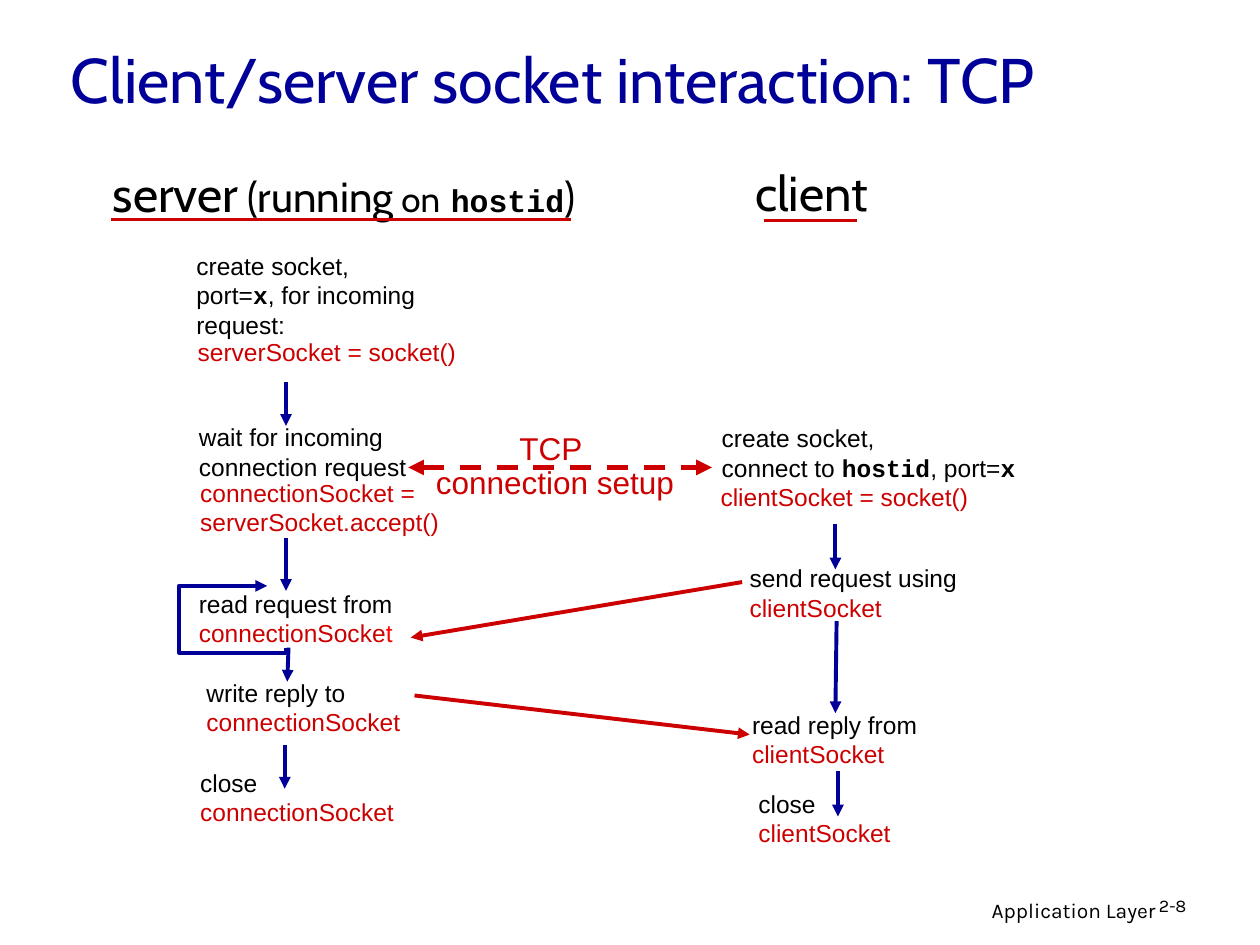
from collections import namedtuple

from lxml.etree import SubElement
from pptx import Presentation
from pptx.dml.color import RGBColor
from pptx.enum.dml import MSO_LINE
from pptx.enum.shapes import MSO_CONNECTOR as Connector
from pptx.enum.text import MSO_ANCHOR as Anchor, MSO_AUTO_SIZE as AutoSize, PP_ALIGN as Align
from pptx.oxml.ns import qn
from pptx.util import Inches, Pt

COLORS = {"navy": "000099", "red": "CC0000", "bright": "FF0000", "black": "000000"}

Box = namedtuple("Box", "left top width height")
Style = namedtuple("Style", "font size color bold", defaults=("black", False))

PLAIN = Style("Arial", 14)
CODE = Style("Courier New", 14, bold=True)
CALL = Style("Arial", 14, "red")
NOTE = Style("Arial", 18, "red")
HEADING = Style("Cabin", 28)
TITLE = Style("Cabin", 36, "navy")
FOOTER = Style("Karla", 12)
PAGE_NUMBER = Style("Karla", 10.2)


def color(name):
    """Return the named colour."""
    return RGBColor.from_string(COLORS[name])


def inside(box, left, top, width, height):
    """Return a box given by its offset within another box."""
    return Box(box.left + left, box.top + top, width, height)


def write(frame, paragraphs, align=Align.LEFT, spacing=None, before=None):
    """Fill a text frame; each paragraph is a list of (text, style) runs."""
    for index, runs in enumerate(paragraphs):
        para = frame.paragraphs[0] if index == 0 else frame.add_paragraph()
        para.alignment = align
        if spacing is not None:
            para.line_spacing = spacing
        if before is not None:
            para.space_before = Pt(before)
        for text, style in runs:
            span = para.add_run()
            span.text = text
            span.font.name, span.font.size = style.font, Pt(style.size)
            span.font.bold = style.bold
            span.font.color.rgb = color(style.color)


def add_text(page, box, paragraphs, wrap=False, anchor=Anchor.MIDDLE, **layout):
    """Add a text box."""
    frame = page.shapes.add_textbox(*map(Inches, box)).text_frame
    frame.word_wrap = wrap
    frame.vertical_anchor = anchor
    write(frame, paragraphs, **layout)


def style_line(shape, name, width, heads=()):
    """Set the colour, width and arrowheads of a line without shadow."""
    shape.line.color.rgb = color(name)
    shape.line.width = Pt(width)
    for head in heads:
        SubElement(shape.line._get_or_add_ln(), qn(f"a:{head}"), type="triangle")


def add_line(page, box, start, end, name="navy", width=2.24, heads=("tailEnd",), dashed=False):
    """Add a straight line between two points within a box."""
    ends = [Inches(value) for value in (box.left + start[0], box.top + start[1],
                                        box.left + end[0], box.top + end[1])]
    line = page.shapes.add_connector(Connector.STRAIGHT, *ends)
    if dashed:
        line.line.dash_style = MSO_LINE.DASH
    style_line(line, name, width, heads)
    SubElement(line._element.spPr, qn("a:effectLst"))


def add_steps(page, box, steps):
    """Add two-line steps: a plain action above the socket it uses."""
    for left, top, width, action, socket in steps:
        add_text(page, inside(box, left, top, width, 0.57), [[(action, PLAIN)], socket])


def add_title(page, box):
    """Place the slide title."""
    title = page.shapes.title
    title.left, title.top, title.width, title.height = map(Inches, box)
    frame = title.text_frame
    frame.auto_size = AutoSize.NONE
    frame.vertical_anchor = Anchor.MIDDLE
    write(frame, [[("Client/server socket interaction: TCP", TITLE)]])


def add_headings(page, box):
    """Add the underlined headings of both columns."""
    server = [("server", HEADING), (" (running", HEADING._replace(size=24)),
              (" on", HEADING._replace(size=20)), (" ", Style("Comic Neue", 18)),
              ("hostid", CODE._replace(size=18)), (")", HEADING._replace(size=24))]
    add_text(page, inside(box, 0, 0.01, 4.28, 0.57), [server], align=Align.CENTER, before=15)
    add_text(page, inside(box, 5.26, 0, 1.18, 0.57), [[("client", HEADING)]],
             align=Align.CENTER, before=17.5)
    add_line(page, box, (0.29, 0.5), (3.94, 0.5), "red", 1.5, ())
    add_line(page, box, (5.47, 0.51), (6.21, 0.51), "red", 1.5, ())


def add_server(page, box):
    """Add the server's steps, the arrows between them and the read loop."""
    add_text(page, inside(box, 0.04, 0, 2.11, 0.8),
             [[("create socket,", PLAIN)],
              [("port=", PLAIN), ("x", CODE), (", for incoming request:", PLAIN)]], wrap=True)
    add_text(page, inside(box, 0.05, 0.68, 2.57, 0.34),
             [[("serverSocket = socket()", CALL)]], wrap=True, before=3.5)
    add_text(page, inside(box, 0.07, 1.8, 2.2, 0.57),
             [[("connectionSocket =", CALL)], [("serverSocket.accept()", CALL)]], wrap=True)
    connection = [("connectionSocket", CALL)]
    add_steps(page, box, [
        (0.06, 1.36, 1.85, "wait for incoming", [("connection request", PLAIN)]),
        (0.06, 2.68, 1.74, "read request from",
         [("connectionSocke", CALL), ("t", CALL._replace(color="bright"))]),
        (0.12, 3.39, 1.74, "write reply to", connection),
        (0.07, 4.1, 1.74, "close", connection),
    ])
    for start, end in (((0.85, 1.09), (0.85, 1.44)), ((0.85, 2.33), (0.85, 2.75)),
                       ((0.87, 3.2), (0.86, 3.47)), ((0.84, 3.97), (0.84, 4.32))):
        add_line(page, box, start, end)

    corners = [(Inches(box.left + x), Inches(box.top + y)) for x, y in
               ((0.85, 3.2), (0.85, 3.24), (0, 3.24), (0, 2.71), (0.7, 2.71))]
    builder = page.shapes.build_freeform(*corners[0])
    builder.add_line_segments(corners[1:], close=False)
    loop = builder.convert_to_shape()
    loop.shadow.inherit = False
    loop.fill.background()
    style_line(loop, "navy", 2.24, ("tailEnd",))


def add_client(page, box):
    """Add the client's steps and the arrows between them."""
    add_text(page, inside(box, 0.01, 0, 2.53, 0.57),
             [[("create socket,", PLAIN)],
              [("connect to ", PLAIN), ("hostid", CODE), (", port=", PLAIN), ("x", CODE)]])
    add_text(page, inside(box, 0, 0.46, 2.58, 0.34),
             [[("clientSocket = socket()", CALL)]], wrap=True)
    socket = [("clientSocket", CALL)]
    add_steps(page, box, [
        (0.23, 1.11, 1.85, "send request using", socket),
        (0.25, 2.27, 1.51, "read reply from", socket),
        (0.3, 2.9, 1.25, "close", socket),
    ])
    for start, end in (((1.01, 0.85), (1.01, 1.21)), ((1.02, 1.62), (1.01, 2.35)),
                       ((1.03, 2.81), (1.03, 3.17))):
        add_line(page, box, start, end)


def add_messages(page, box):
    """Add the connection setup, the request and the reply between columns."""
    add_line(page, box, (0, 0.32), (2.41, 0.32), "red", 3, ("headEnd", "tailEnd"), dashed=True)
    add_text(page, inside(box, 0.12, 0, 2.09, 0.64),
             [[("TCP ", NOTE)], [("connection setup", NOTE)]], align=Align.CENTER, spacing=0.9)
    add_line(page, box, (2.65, 1.23), (0.02, 1.67), "red")
    add_line(page, box, (0.05, 2.13), (2.71, 2.44), "red")


def add_footer(page, box):
    """Add the chapter name and the page number."""
    add_text(page, inside(box, 0, 0, 3.17, 0.31), [[("Application Layer", FOOTER)]],
             wrap=True, anchor=Anchor.TOP, align=Align.RIGHT)
    add_text(page, inside(box, 3, 0, 0.74, 0.3), [[("2-8", PAGE_NUMBER)]],
             wrap=True, anchor=Anchor.TOP, spacing=0.9)


def main():
    """Build the deck with its one slide."""
    deck = Presentation()
    deck.slide_width, deck.slide_height = Inches(10), Inches(7.5)
    page = deck.slides.add_slide(deck.slide_layouts[5])
    add_title(page, Box(0.46, 0.1, 8.5, 1.04))
    add_headings(page, Box(0.59, 1.24, 6.44, 0.58))
    add_server(page, Box(1.42, 1.94, 2.62, 4.67))
    add_client(page, Box(5.62, 3.31, 2.58, 3.47))
    add_messages(page, Box(3.24, 3.39, 2.71, 2.44))
    add_footer(page, Box(6.1, 7.07, 3.74, 0.31))
    deck.save("out.pptx")


main()
